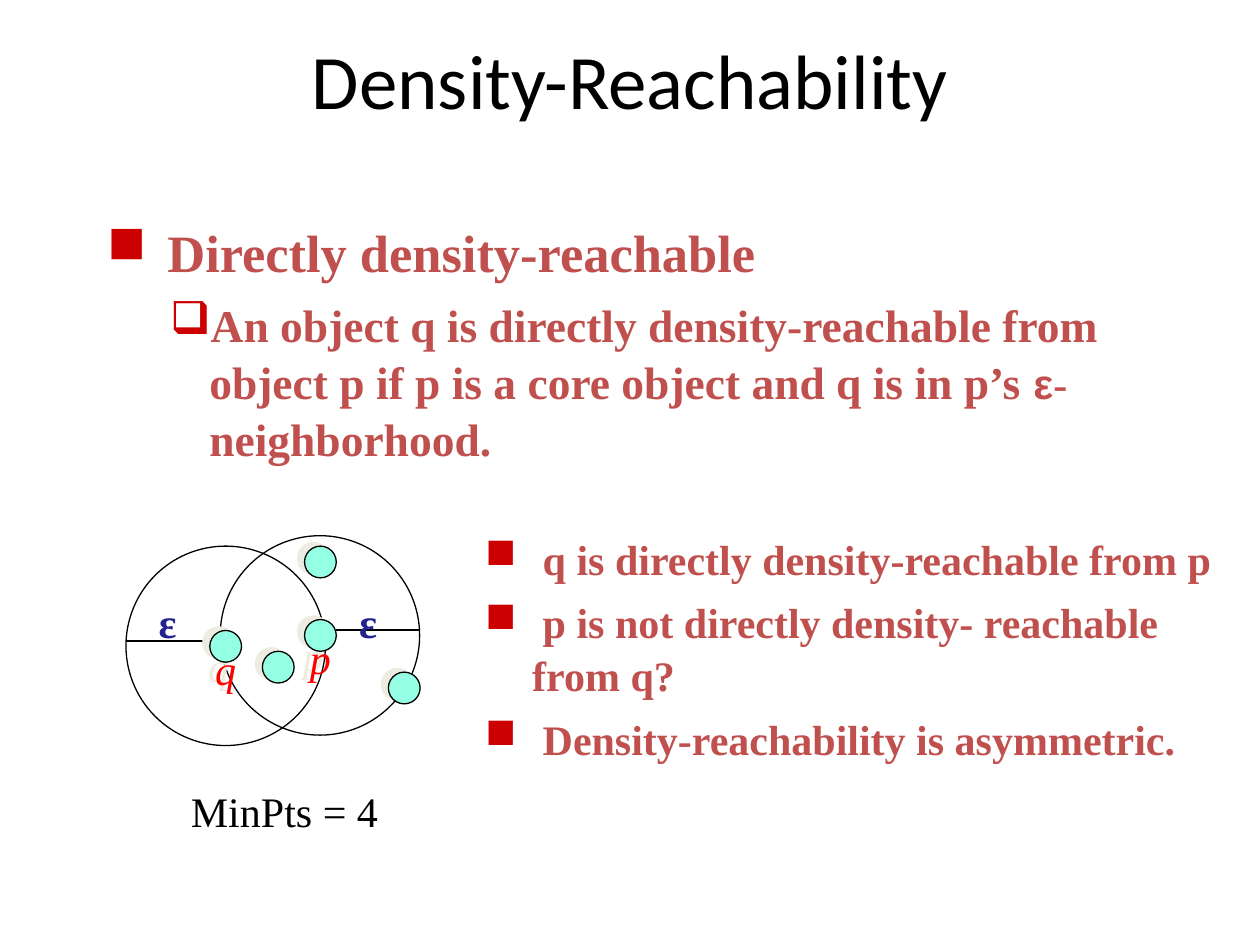
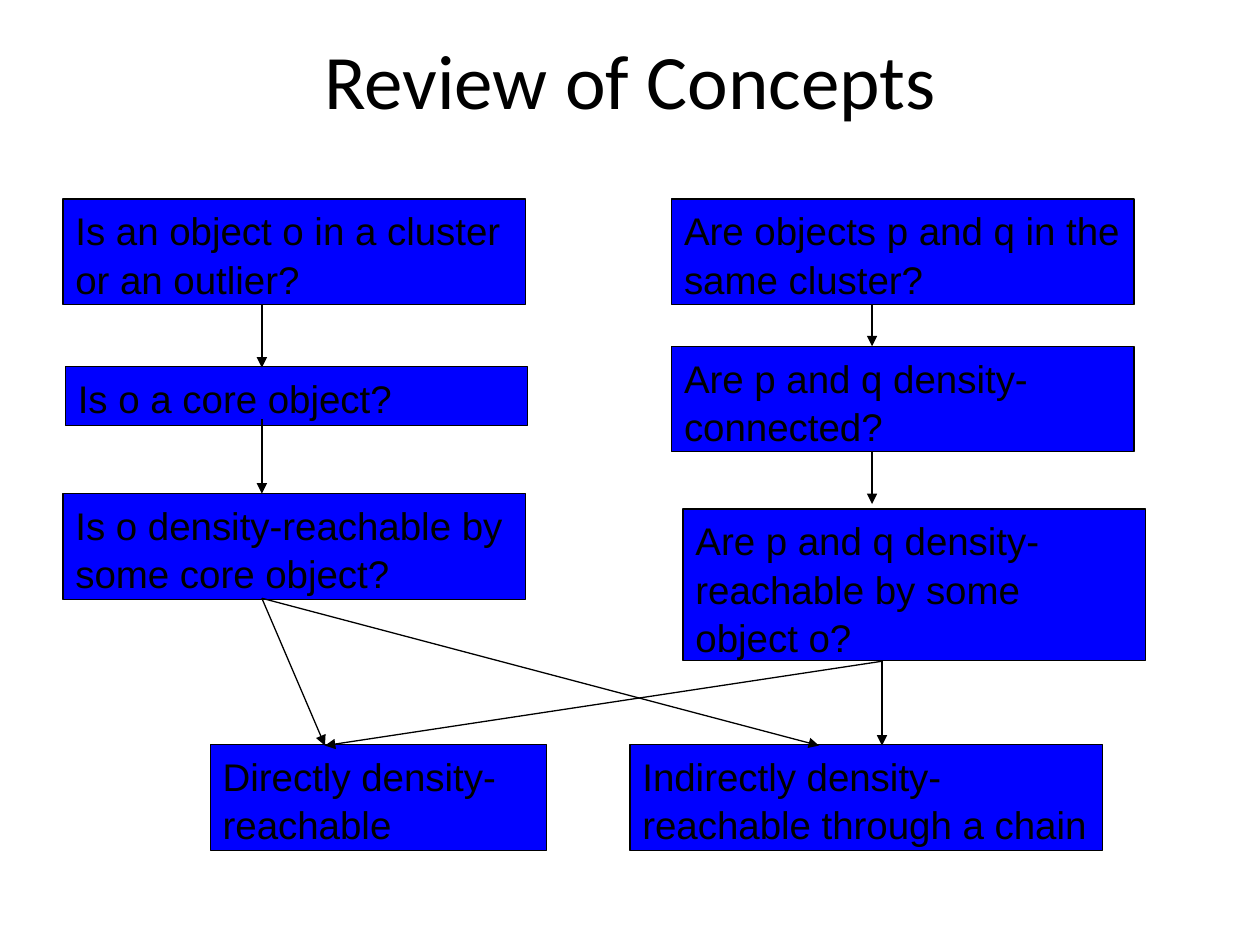
from dataclasses import dataclass

from lxml.etree import SubElement
from pptx import Presentation
from pptx.dml.color import RGBColor
from pptx.enum.shapes import MSO_CONNECTOR, MSO_SHAPE
from pptx.enum.text import MSO_ANCHOR, PP_ALIGN
from pptx.oxml.ns import qn
from pptx.util import Cm, Pt


@dataclass(frozen=True)
class Theme:
    black: str = "000000"
    brick: str = "C0504D"
    red: str = "FF0000"
    mark: str = "CC0000"
    navy: str = "23238E"
    blue: str = "0000FF"
    mint: str = "95FFE3"
    shade: str = "EEECE1"
    sans: str = "Arial"
    serif: str = "Times New Roman"
    head: str = "Calibri"
    title: int = 44
    lead: int = 30
    sub: int = 26
    text: int = 24
    node: int = 22
    line: float = 0.75
    space: float = 1.05


T = Theme()


def tint(hue):
    return RGBColor.from_string(hue)


def style(run, face, size, hue, bold=False, slant=False):
    font = run.font
    font.name, font.size, font.bold, font.italic = face, Pt(size), bold, slant
    font.color.rgb = tint(hue)


def write(shape, text, face, size, hue, align=PP_ALIGN.LEFT, wrap=True,
          anchor=MSO_ANCHOR.TOP, space=T.space, **looks):
    frame = shape.text_frame
    frame.text = text
    frame.word_wrap = wrap
    frame.vertical_anchor = anchor
    para = frame.paragraphs[0]
    para.alignment = align
    para.line_spacing = space
    style(para.runs[0], face, size, hue, **looks)


def label(shapes, box, *args, **looks):
    shape = shapes.add_textbox(*map(Cm, box))
    write(shape, *args, **looks)


def form(shapes, kind, box, fill=None):
    shape = shapes.add_shape(kind, *map(Cm, box))
    shape.shadow.inherit = False
    if fill:
        shape.fill.solid()
        shape.fill.fore_color.rgb = tint(fill)
    else:
        shape.fill.background()
    shape.line.color.rgb = tint(T.black)
    shape.line.width = Pt(T.line)
    return shape


def link(shapes, start, end, arrow=False):
    line = shapes.add_connector(MSO_CONNECTOR.STRAIGHT, *map(Cm, start + end))
    line.line.color.rgb = tint(T.black)
    line.line.width = Pt(T.line)
    if arrow:
        SubElement(line.line._get_or_add_ln(), qn("a:tailEnd"), type="triangle")
    SubElement(line._element.spPr, qn("a:effectLst"))


def cast(shape):
    effect = shape._element.spPr.find(qn("a:effectLst"))
    outer = SubElement(effect, qn("a:outerShdw"), dist=str(Pt(4.5)),
                       dir=str(207 * 60000), algn="ctr", rotWithShape="0")
    SubElement(outer, qn("a:srgbClr"), val=T.shade)


def bullet(para, mark, left, hang, before):
    para.space_before = Pt(before)
    para.line_spacing = T.space
    props = para._p.get_or_add_pPr()
    props.set("marL", str(Cm(left)))
    props.set("indent", str(-Cm(hang)))
    SubElement(SubElement(props, qn("a:buClr")), qn("a:srgbClr"), val=T.mark)
    SubElement(props, qn("a:buChar"), char=mark)


def heading(slide, text):
    label(slide.shapes, (1.91, 0, 21.59, 3.18), text, T.head, T.title, T.black,
          align=PP_ALIGN.CENTER, anchor=MSO_ANCHOR.MIDDLE, space=1.0)


def intro(slide, box):
    frame = slide.shapes.add_textbox(*map(Cm, box)).text_frame
    frame.word_wrap = True
    lead = frame.paragraphs[0]
    bullet(lead, "■", 0.95, 0.95, 7.5)
    for text, bold in ((" ", False), ("Directly density-reachable", True)):
        run = lead.add_run()
        run.text = text
        style(run, T.serif, T.lead, T.brick, bold)
    detail = frame.add_paragraph()
    detail.level = 1
    bullet(detail, "❑", 2.06, 0.79, 6.5)
    parts = (
        ("An object q is directly density-reachable from object p if p is a "
         "core object and q is in p’s ", T.serif, T.sub),
        ("ε", T.sans, T.text),
        ("-", T.serif, T.text),
        ("neighborhood.", T.serif, T.sub),
    )
    for text, face, size in parts:
        run = detail.add_run()
        run.text = text
        style(run, face, size, T.brick, True)


def points(slide, box, items):
    frame = slide.shapes.add_textbox(*map(Cm, box)).text_frame
    frame.word_wrap = True
    frame.text = "\n".join(items)
    for para in frame.paragraphs:
        bullet(para, "■", 0.95, 0.95, 6)
        style(para.runs[0], T.serif, T.text, T.brick, True)


def figure(slide, left, top):
    shapes = slide.shapes.add_group_shape().shapes
    ring, dot = 4.02, 0.64

    def at(x, y):
        return left + x, top + y

    link(shapes, at(0, 2.12), at(1.69, 2.12))
    for spot in ((0, 0.21), (1.9, 0)):
        form(shapes, MSO_SHAPE.OVAL, at(*spot) + (ring, ring))
    dots = ((3.6, 0.21, ""), (1.69, 1.91, "q"), (2.75, 2.33, ""),
            (5.29, 2.75, ""), (3.6, 1.69, "p"))
    for x, y, name in dots:
        shape = form(shapes, MSO_SHAPE.OVAL, at(x, y) + (dot, dot), T.mint)
        cast(shape)
        if name:
            write(shape, name, T.serif, T.text, T.red, slant=True,
                  align=PP_ALIGN.CENTER, wrap=False)
    link(shapes, at(4.23, 1.9), at(5.93, 1.9))
    for x in (4.45, 0.41):
        label(shapes, at(x, 1.06) + (0.86, 1.27), "ε", T.serif, T.text, T.navy,
              bold=True, align=PP_ALIGN.CENTER, wrap=False)


def flow(slide, left, top):
    shapes = slide.shapes
    wide = 9.32
    high = {1: 1.19, 2: 2.13, 3: 3.05}
    nodes = (
        (12.27, 0, wide, 2, "Are objects p and q in the same cluster?"),
        (12.27, 2.97, wide, 2, "Are p and q density-connected?"),
        (12.5, 6.25, wide, 3, "Are p and q density-reachable by some object o?"),
        (2.97, 11, 6.78, 2, "Directly density-reachable"),
        (11.43, 11, 9.53, 2, "Indirectly density-reachable through a chain"),
        (0, 0, wide, 2, "Is an object o in a cluster or an outlier?"),
        (0.05, 3.38, wide, 1, "Is o a core object?"),
        (0, 5.94, wide, 2, "Is o density-reachable by some core object?"),
    )
    for x, y, width, rows, text in nodes:
        box = (left + x, top + y, width, high[rows])
        shape = form(shapes, MSO_SHAPE.RECTANGLE, box, T.blue)
        write(shape, text, T.sans, T.node, T.black)
    core, pair, both = 4.01, 16.31, 16.51
    direct, chain, base = 5.28, 15.24, 11.02
    arrows = (
        (core, 2.13, core, 3.4), (core, 4.44, core, 5.94),
        (core, 8.05, direct, base), (core, 8.05, chain, base),
        (pair, 2.13, pair, 2.97), (pair, 5.08, pair, 6.15),
        (both, 9.32, direct, base), (both, 9.32, both, base),
    )
    for x, y, to, down in arrows:
        link(shapes, (left + x, top + y), (left + to, top + down), arrow=True)


def reach(slide):
    heading(slide, "Density-Reachability")
    intro(slide, (1.91, 4.24, 21.59, 5.28))
    figure(slide, 2.54, 10.8)
    points(slide, (9.53, 10.58, 15.45, 5.29), (
        " q is directly density-reachable from p",
        " p is not directly density- reachable from q?",
        " Density-reachability is asymmetric.",
    ))
    label(slide.shapes, (3.6, 15.66, 8.05, 1.27), "MinPts = 4",
          T.serif, T.text, T.black)


def review(slide):
    heading(slide, "Review of Concepts")
    flow(slide, 1.27, 4.01)


def main():
    deck = Presentation()
    deck.slide_width, deck.slide_height = Cm(25.4), Cm(19.05)
    for build in (reach, review):
        build(deck.slides.add_slide(deck.slide_layouts[6]))
    deck.save("out.pptx")


if __name__ == "__main__":
    main()
